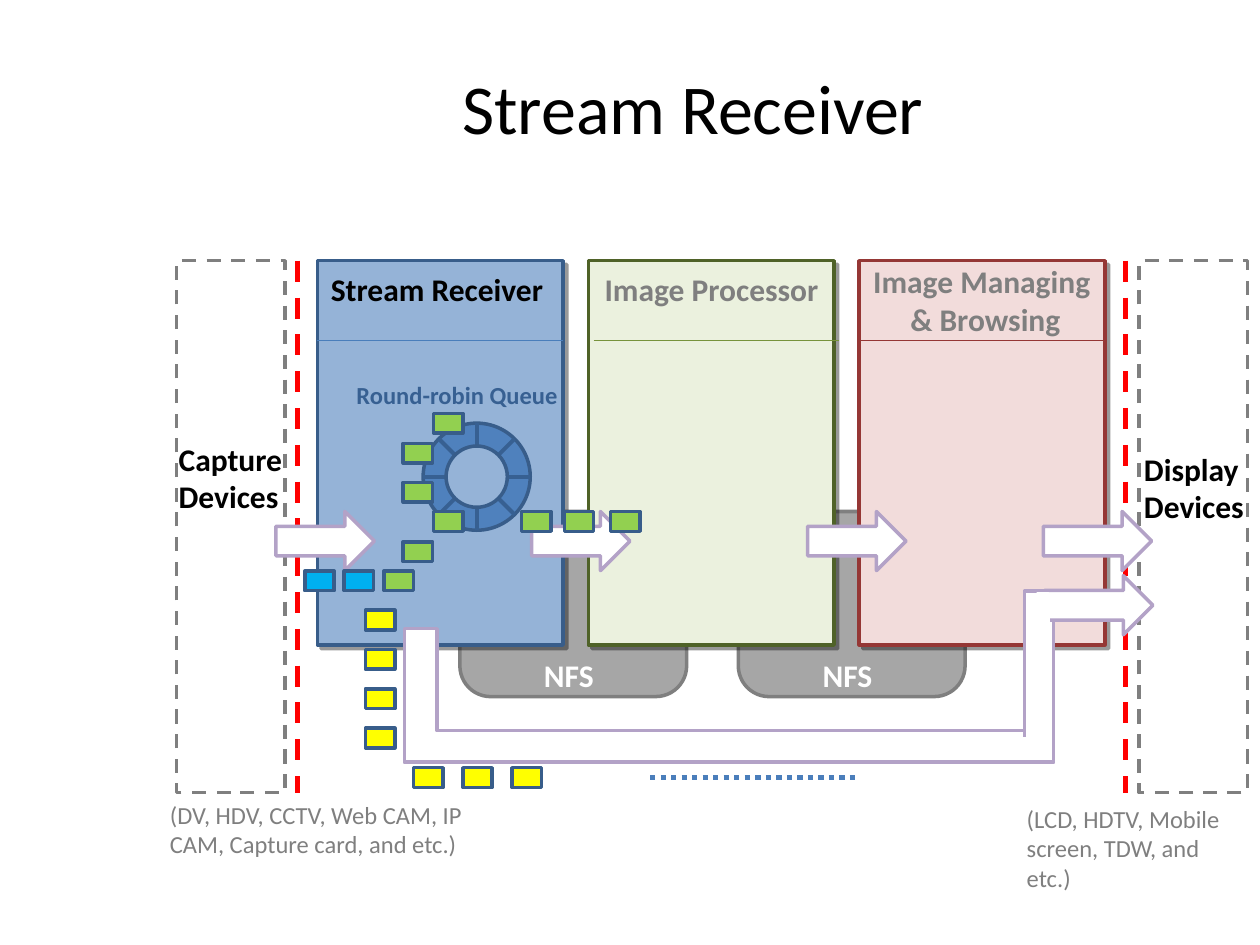
"""Build the Stream Receiver architecture slide."""
import math

from lxml import etree
from pptx import Presentation
from pptx import util as u
from pptx.dml.color import RGBColor
from pptx.enum import dml, shapes, text
from pptx.oxml import ns

Pt = u.Pt
MSO = shapes.MSO_SHAPE
DASH = dml.MSO_LINE
ALIGN = text.PP_ALIGN
COLOURS = {
    "white": "FFFFFF", "black": "000000", "red": "FF0000", "grey": "7F7F7F",
    "nfs": "A6A6A6", "blue": "95B3D7", "blue_edge": "385D8A", "blue_rule": "4A7EBB",
    "green": "EBF1DE", "green_edge": "4F6228", "green_rule": "77933C",
    "pink": "F2DCDB", "pink_edge": "953735", "lilac": "B3A2C7",
    "ring": "4F81BD", "spoke": "376092",
    "raw": "00B0F0", "queued": "92D050", "direct": "FFFF00",
}
TOP = 149
FLOW_Y = 292.3


def rgb(name):
    """Return the named colour."""
    return RGBColor.from_string(COLOURS[name])


def paint(s, fill, line, dash=None):
    """Set fill, outline and no shadow on a shape."""
    s.shadow.inherit = False
    if fill:
        s.fill.solid()
        s.fill.fore_color.rgb = rgb(fill)
    else:
        s.fill.background()
    s.line.color.rgb = rgb(line)
    s.line.width = Pt(2)
    if dash:
        s.line.dash_style = dash
    return s


def add_box(parent, kind, x, y, w, h, fill, line, dash=None):
    """Add a painted preset shape."""
    s = parent.add_shape(kind, Pt(x), Pt(y), Pt(w), Pt(h))
    return paint(s, fill, line, dash)


def add_line(parent, x1, y1, x2, y2, colour, width, dash=None):
    """Add a straight line without a shadow."""
    s = parent.add_connector(shapes.MSO_CONNECTOR.STRAIGHT, Pt(x1), Pt(y1), Pt(x2), Pt(y2))
    s.line.color.rgb = rgb(colour)
    s.line.width = Pt(width)
    if dash:
        s.line.dash_style = dash
    etree.SubElement(s._element.spPr, ns.qn("a:effectLst"))


def write(tf, lines, size, colour, bold=False, align=None):
    """Write one paragraph for each line."""
    for i, line in enumerate(lines):
        p = tf.paragraphs[0] if i == 0 else tf.add_paragraph()
        p.alignment = align
        r = p.add_run()
        r.text = line
        r.font.name = "Calibri"
        r.font.size = Pt(size)
        r.font.bold = bold
        r.font.color.rgb = rgb(colour)


def add_label(parent, x, y, w, h, lines, colour, size=18, bold=True, align=None, wrap=False):
    """Add a text box that fits its text."""
    tf = parent.add_textbox(Pt(x), Pt(y), Pt(w), Pt(h)).text_frame
    tf.word_wrap = wrap
    tf.auto_size = text.MSO_AUTO_SIZE.SHAPE_TO_FIT_TEXT
    write(tf, lines, size, colour, bold, align)


def cast_shadow(s):
    """Give a shape a hard shadow to the lower right."""
    effects = s._element.spPr.find(ns.qn("a:effectLst"))
    shadow = etree.SubElement(effects, ns.qn("a:outerShdw"), dist=str(Pt(3)),
                              dir="2700000", algn="tl", rotWithShape="0")
    colour = etree.SubElement(shadow, ns.qn("a:srgbClr"), val=COLOURS["black"])
    etree.SubElement(colour, ns.qn("a:alpha"), val="40000")


def add_title(slide):
    """Place and write the slide title."""
    sp = slide.shapes.title
    sp.left, sp.top, sp.width, sp.height = Pt(72), Pt(16), Pt(648), Pt(90)
    tf = sp.text_frame
    tf.vertical_anchor = text.MSO_ANCHOR.MIDDLE
    write(tf, ["Stream Receiver"], 40, "black", align=ALIGN.CENTER)


def add_stages(parent):
    """Add the three stage panels with headings and rules."""
    stages = [
        ("blue", "blue_edge", "blue_rule", 0, (182, 150.5, 136, 29), ["Stream Receiver"], "black"),
        ("green", "green_edge", "green_rule", 3, (338.4, 150.5, 137, 29), ["Image Processor"], "grey"),
        ("pink", "pink_edge", "pink_edge", 0, (491.8, 146.2, 142.5, 50.4),
         ["Image Managing ", "& Browsing"], "grey"),
    ]
    for i, (fill, edge, rule, shift, place, lines, colour) in enumerate(stages):
        x = 181.4 + 154.8 * i
        cast_shadow(add_box(parent, MSO.RECTANGLE, x, TOP, 140.4, 219.6, fill, edge))
        add_line(parent, x + shift, 194.4, x + shift + 140.4, 194.4, rule, 0.75)
        align = ALIGN.CENTER if len(lines) > 1 else None
        add_label(parent, *place, lines, colour, align=align)


def add_devices(parent):
    """Add the device columns and the red boundaries."""
    for x in (169.9, 643):
        add_line(parent, x, TOP, x, 453.3, "red", 3, DASH.DASH)
    for x, fill in ((650.9, None), (100.8, "white")):
        add_box(parent, MSO.RECTANGLE, x, TOP, 62, 304, fill, "grey", DASH.DASH)


def add_arrow(parent, x, y, w):
    """Add a white flow arrow."""
    add_box(parent, MSO.RIGHT_ARROW, x, y, w, 33.8, "white", "lilac")


def add_ring(parent):
    """Add the round-robin ring as a group."""
    group = parent.add_group_shape().shapes
    centre, outer, inner = 272.4, 30.6, 17.5
    add_box(group, MSO.OVAL, centre - outer, centre - outer, 2 * outer, 2 * outer, "ring", "blue_edge")
    for i in range(4):
        dx, dy = outer * math.cos(i * math.pi / 4), outer * math.sin(i * math.pi / 4)
        add_line(group, centre - dx, centre - dy, centre + dx, centre + dy, "spoke", 2.25)
    add_box(group, MSO.OVAL, centre - inner, centre - inner, 2 * inner, 2 * inner, "blue", "blue_edge")


def add_frames(parent):
    """Add the small frames that move through the system."""
    frames = {
        "raw": [(174.2, 326.2), (196.7, 326.2)],
        "queued": [(219.4, 326.2), (230.4, 309.6), (247.7, FLOW_Y), (230.4, 275.6),
                   (230.4, 253.3), (247.7, 236.2), (298.1, FLOW_Y), (322.5, FLOW_Y),
                   (348.8, FLOW_Y)],
        "direct": [(208.8, 348.6 + 22.5 * i) for i in range(4)]
                  + [(236.4 + 28.1 * i, 438.7) for i in range(3)],
    }
    for colour, places in frames.items():
        for x, y in places:
            add_box(parent, MSO.RECTANGLE, x, y, 16.8, 11.3, colour, "blue_edge")


def add_bypass(parent):
    """Add the path that leads under the stages to the display."""
    group = parent.add_group_shape().shapes
    builder = group.build_freeform(Pt(249.8), Pt(359.3), scale=1.0)
    corners = [(249.8, 417.6), (601.9, 417.6), (601.9, 435.6), (231.1, 435.6), (231.1, 359.3)]
    builder.add_line_segments([(Pt(x), Pt(y)) for x, y in corners], close=True)
    paint(builder.convert_to_shape(), "white", "lilac")
    add_box(group, MSO.RECTANGLE, 585.4, 337.7, 16.6, 97.9, "white", "lilac")
    add_arrow(group, 596.9, 329, 61.9)
    for place in ((573.8, 421.9, 22.3, 11.5), (593.3, 339.1, 5.8, 22.3)):
        add_box(group, MSO.RECTANGLE, *place, "white", "white")


def main():
    """Build and save the slide."""
    prs = Presentation()
    prs.slide_width, prs.slide_height = Pt(720), Pt(540)
    slide = prs.slides.add_slide(prs.slide_layouts[5])
    parent = slide.shapes
    add_title(slide)
    for x in (421.9, 262.8):
        add_box(parent, MSO.ROUNDED_RECTANGLE, x, FLOW_Y, 129.6, 105.8, "nfs", "grey")
    add_stages(parent)
    add_devices(parent)
    for x in (303.8, 463):
        add_label(parent, x, 371.2, 43.2, 29, ["NFS"], "white")
    for x in (157.7, 461.5, 303.8):
        add_arrow(parent, x, FLOW_Y, 56.2)
    add_label(parent, 95, 247.7, 77.8, 50.4, ["Capture", "Devices"], "black")
    add_label(parent, 646.6, 253.4, 72.7, 50.4, ["Display", "Devices"], "black")
    add_label(parent, 579.6, 455.8, 140.4, 57.6, ["(LCD, HDTV, Mobile", "screen, TDW, and etc.)"],
              "grey", 14, False, wrap=True)
    add_label(parent, 90, 453.6, 191.5, 41,
              ["(DV, HDV, CCTV, Web CAM, IP CAM, Capture card, and etc.)"],
              "grey", 14, False, wrap=True)
    add_ring(parent)
    add_frames(parent)
    add_label(parent, 196.6, 213.8, 129.6, 24.5, ["Round-robin Queue"], "spoke", 14)
    add_line(parent, 371.5, 444.2, 489.6, 444.2, "blue_rule", 3, DASH.ROUND_DOT)
    add_arrow(parent, 596.2, FLOW_Y, 61.9)
    add_bypass(parent)
    prs.save("out.pptx")


if __name__ == "__main__":
    main()
